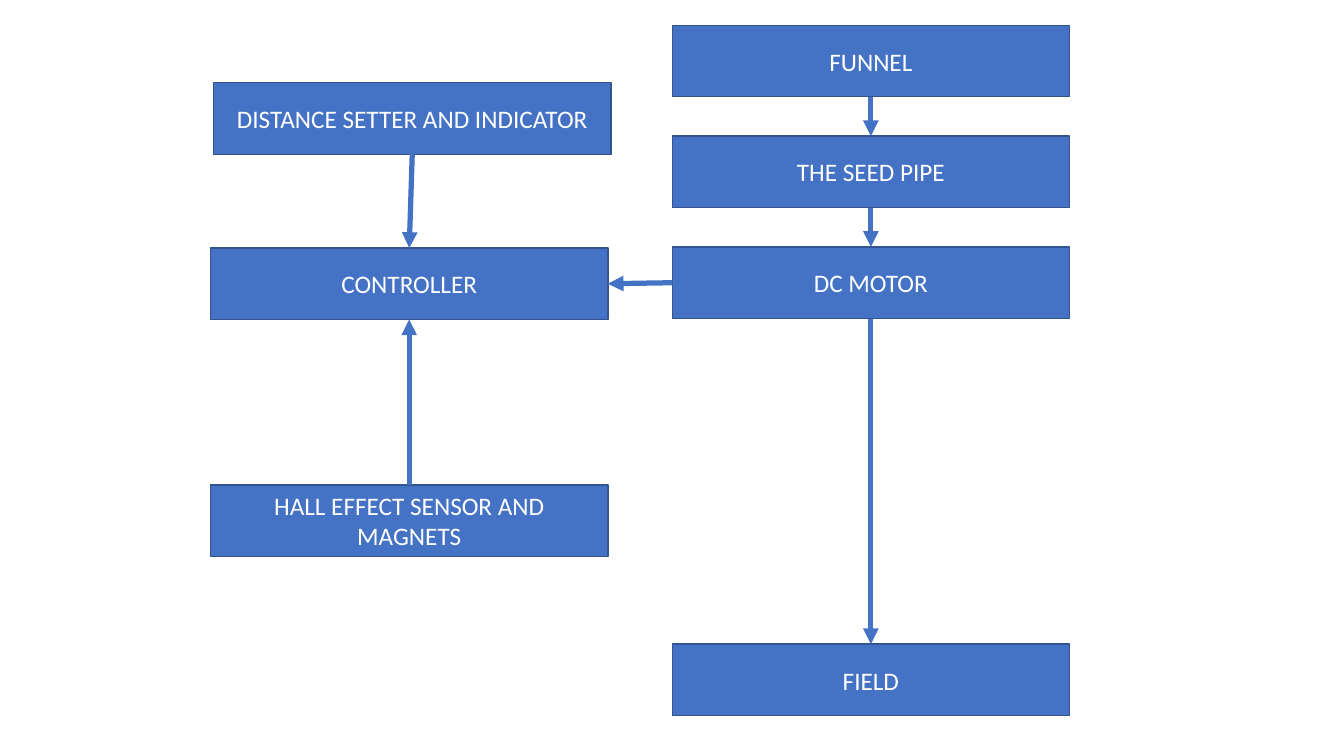
from lxml import etree
from pptx import Presentation
from pptx import util as u
from pptx.dml.color import RGBColor
from pptx.enum import shapes, text
from pptx.oxml.ns import qn

RIGHT, LEFT, SETTER_LEFT = 480.24, 150.48, 152.64
ROW_TOP, ROW_PITCH = 18, 79.2
BOX_W, BOX_H = 283.68, 51.12
TOP, WEST, BOTTOM, EAST = range(4)

BOXES = {
    "FUNNEL": (RIGHT, ROW_TOP),
    "THE SEED PIPE": (RIGHT, ROW_TOP + ROW_PITCH),
    "DC MOTOR": (RIGHT, ROW_TOP + 2 * ROW_PITCH),
    "CONTROLLER": (LEFT, 177.12),
    "HALL EFFECT SENSOR AND MAGNETS": (LEFT, 346.32),
    "FIELD": (RIGHT, 460.08),
    "DISTANCE SETTER AND INDICATOR": (SETTER_LEFT, 59.04),
}
ARROWS = [
    ("FUNNEL", BOTTOM, "THE SEED PIPE", TOP),
    ("THE SEED PIPE", BOTTOM, "DC MOTOR", TOP),
    ("DC MOTOR", BOTTOM, "FIELD", TOP),
    ("DC MOTOR", WEST, "CONTROLLER", EAST),
    ("HALL EFFECT SENSOR AND MAGNETS", TOP, "CONTROLLER", BOTTOM),
    ("DISTANCE SETTER AND INDICATOR", BOTTOM, "CONTROLLER", TOP),
]
THEME = {
    "fill": RGBColor.from_string("4472C4"),
    "edge": RGBColor.from_string("325491"),
    "text": RGBColor.from_string("FFFFFF"),
    "font": "Calibri",
    "size": 18,
    "edge_width": 1,
    "arrow_width": 3.75,
}


def write(sp, words, size=THEME["size"], color=THEME["text"], align=text.PP_ALIGN.CENTER):
    tf = sp.text_frame
    tf.word_wrap = True
    tf.vertical_anchor = text.MSO_ANCHOR.MIDDLE
    p = tf.paragraphs[0]
    p.alignment = align
    r = p.add_run()
    r.text = words
    r.font.name = THEME["font"]
    r.font.size = u.Pt(size)
    r.font.color.rgb = color


def add_box(s, words, left, top):
    sp = s.shapes.add_shape(shapes.MSO_SHAPE.FLOWCHART_PROCESS,
                            u.Pt(left), u.Pt(top), u.Pt(BOX_W), u.Pt(BOX_H))
    sp.shadow.inherit = False
    sp.fill.solid()
    sp.fill.fore_color.rgb = THEME["fill"]
    sp.line.color.rgb = THEME["edge"]
    sp.line.width = u.Pt(THEME["edge_width"])
    write(sp, words)
    return sp


def add_arrow(s, start, start_side, end, end_side):
    cx = s.shapes.add_connector(shapes.MSO_CONNECTOR.STRAIGHT, 0, 0, 0, 0)
    cx.begin_connect(start, start_side)
    cx.end_connect(end, end_side)
    cx.line.color.rgb = THEME["fill"]
    cx.line.width = u.Pt(THEME["arrow_width"])
    etree.SubElement(cx.line._get_or_add_ln(), qn("a:tailEnd"), type="triangle")
    etree.SubElement(cx._element.spPr, qn("a:effectLst"))


def main():
    prs = Presentation()
    prs.slide_width, prs.slide_height = u.Pt(960), u.Pt(540)
    s = prs.slides.add_slide(prs.slide_layouts[6])
    boxes = {words: add_box(s, words, *at) for words, at in BOXES.items()}
    for start, start_side, end, end_side in ARROWS:
        add_arrow(s, boxes[start], start_side, boxes[end], end_side)
    prs.save("out.pptx")


if __name__ == "__main__":
    main()
